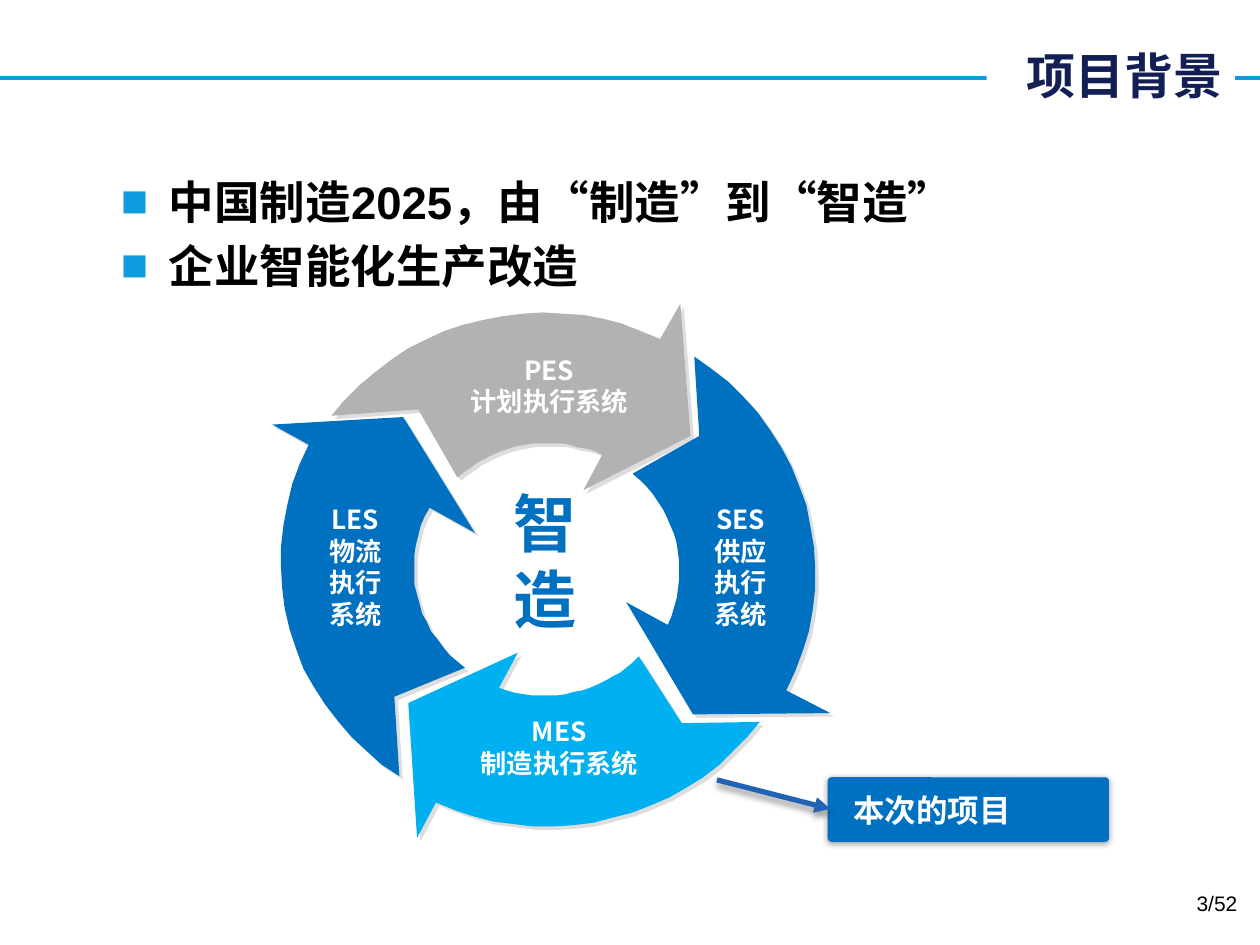
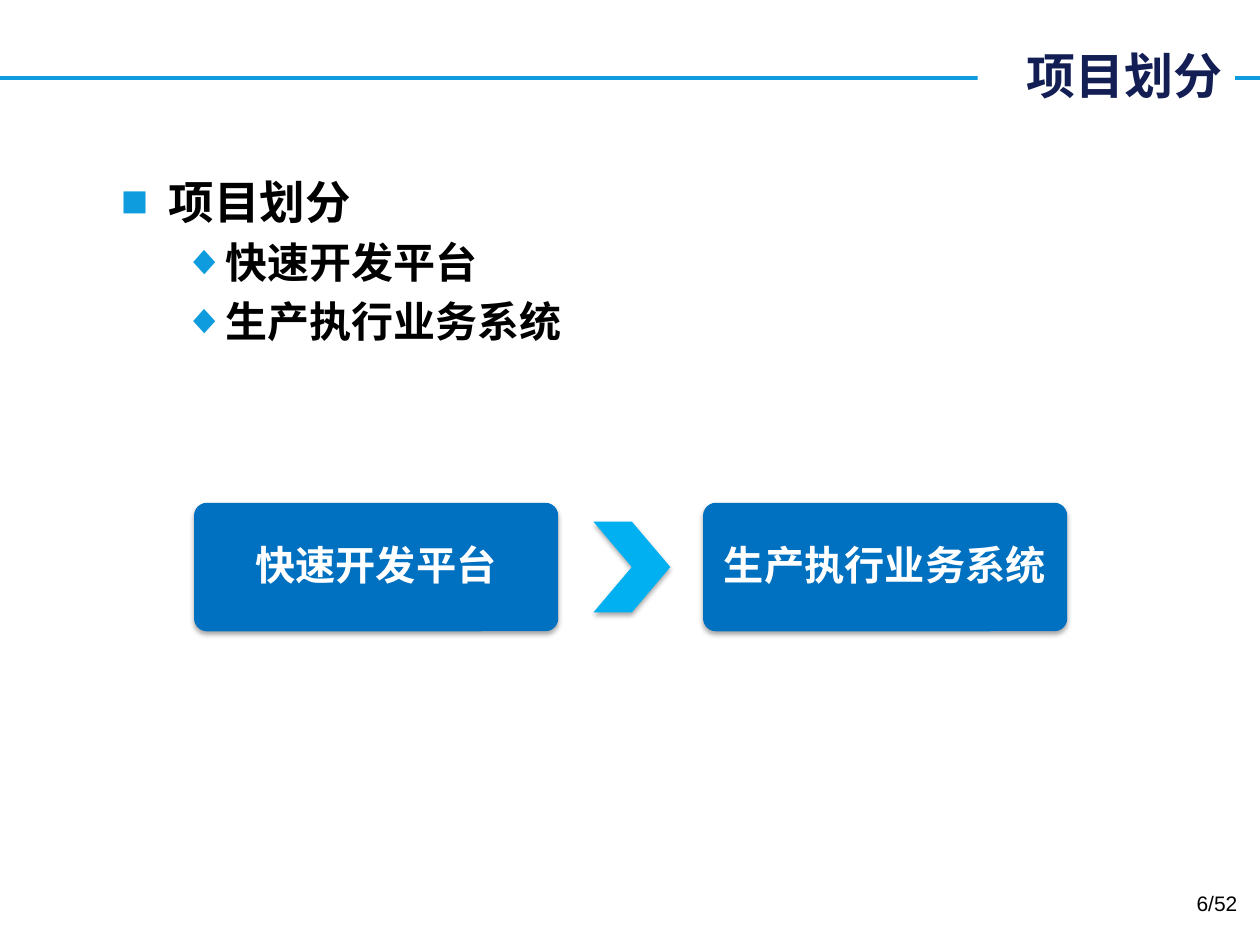
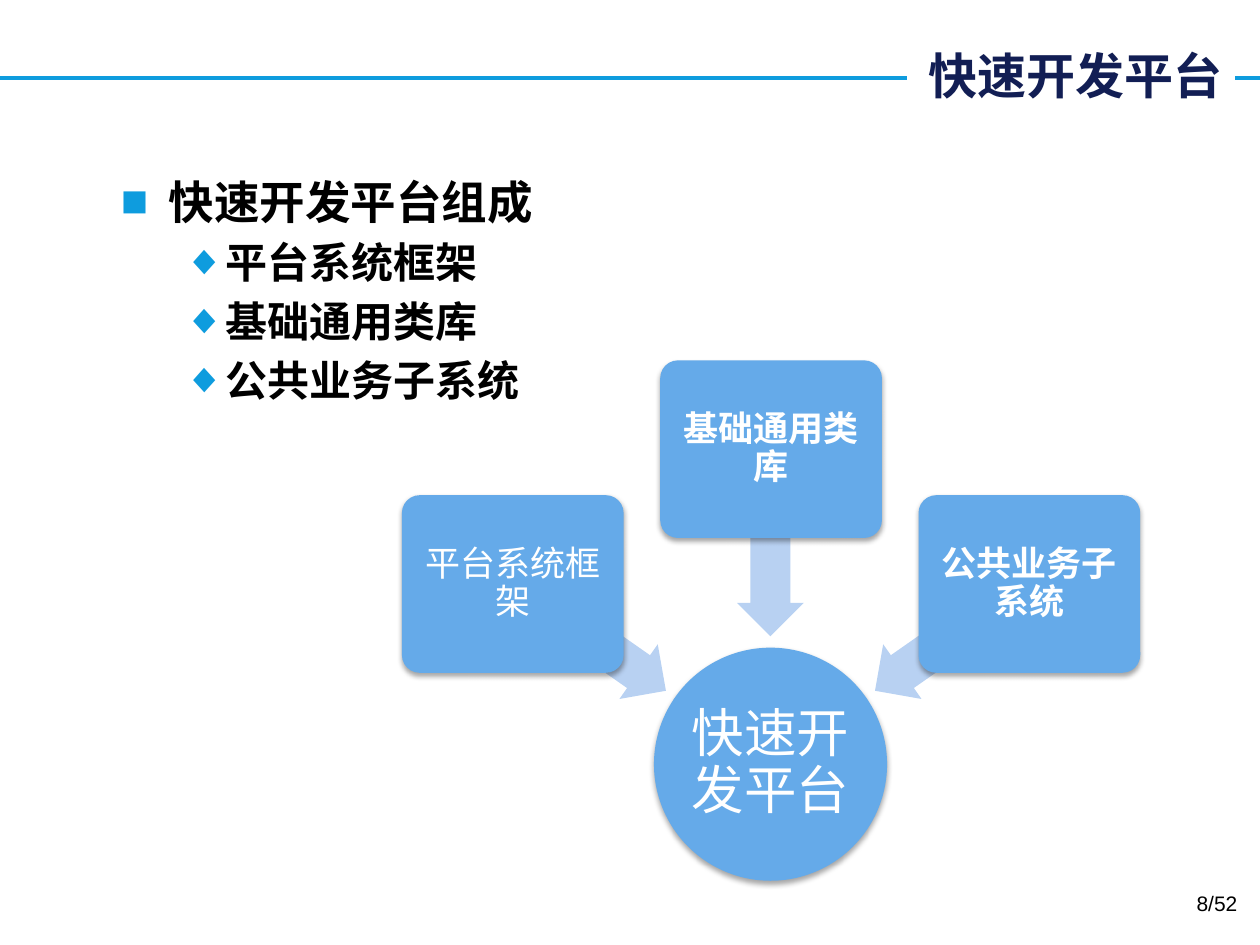
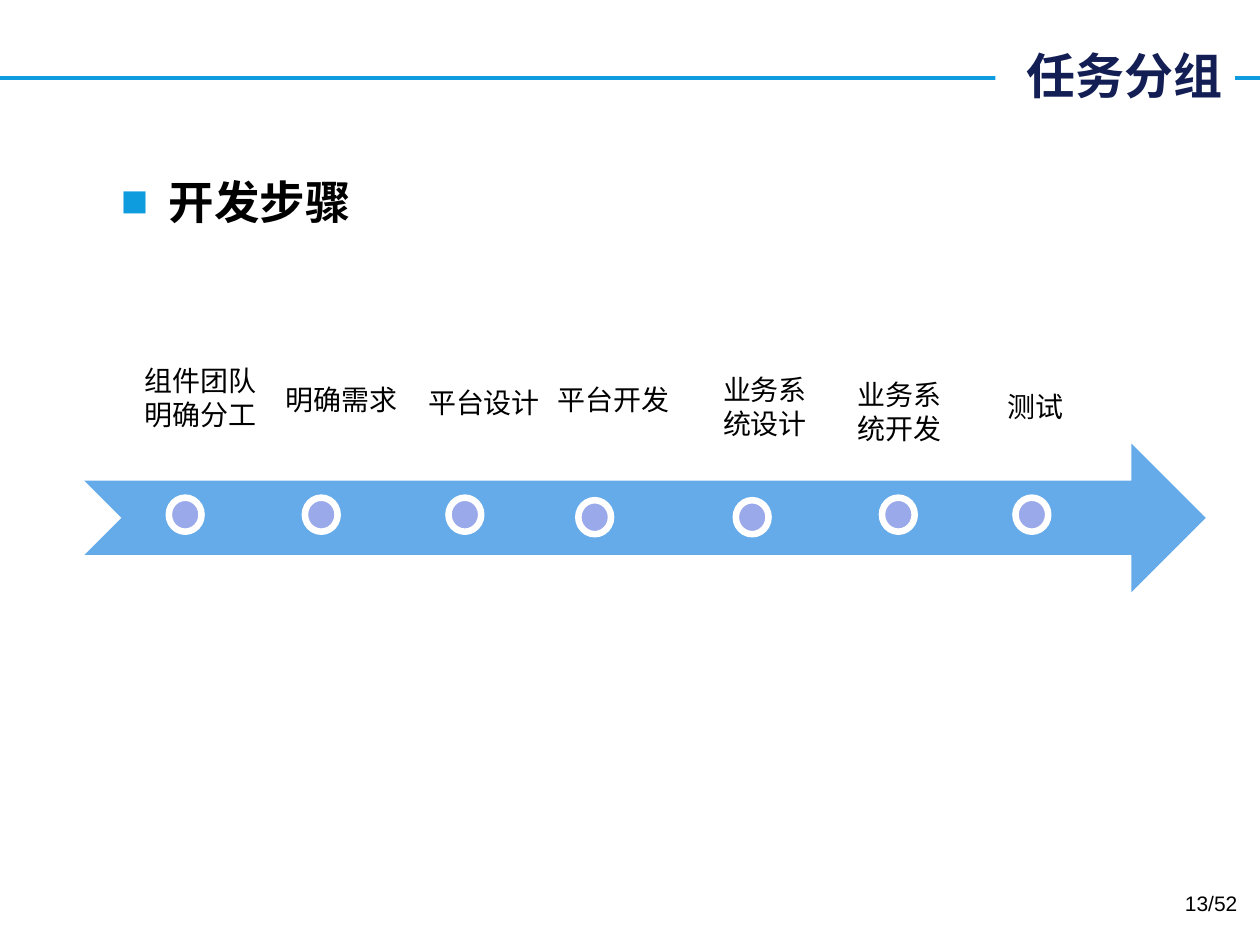
from math import atan2, cos, hypot, pi, sin

from lxml import etree
from pptx import Presentation
from pptx.dml.color import RGBColor
from pptx.enum.shapes import MSO_CONNECTOR, MSO_SHAPE
from pptx.enum.text import MSO_ANCHOR, MSO_AUTO_SIZE, PP_ALIGN
from pptx.oxml.ns import qn
from pptx.util import Pt

PX = 9144
LATIN = "Arial"
CHINESE = "Noto Sans CJK SC"

WHITE = RGBColor(0xFF, 0xFF, 0xFF)
BLACK = RGBColor(0, 0, 0)
NAVY = RGBColor(0x12, 0x1E, 0x54)
RULE_BLUE = RGBColor(0x0E, 0x9C, 0xDE)
BLUE = RGBColor(0x00, 0x70, 0xC0)
CYAN = RGBColor(0x00, 0xB0, 0xF0)
GRAY = RGBColor(0xB2, 0xB2, 0xB2)
SHADOW_GRAY = RGBColor(0xDD, 0xDD, 0xDD)
LINK_BLUE = RGBColor(0x21, 0x63, 0xB4)
SKY = RGBColor(0x65, 0xAA, 0xE9)
PALE_BLUE = RGBColor(0xB8, 0xD1, 0xF2)
LILAC = RGBColor(0x9A, 0xA9, 0xEA)

LEFT, CENTER, RIGHT = PP_ALIGN.LEFT, PP_ALIGN.CENTER, PP_ALIGN.RIGHT
TOP, MIDDLE = MSO_ANCHOR.TOP, MSO_ANCHOR.MIDDLE
RECTANGLE, ROUNDED = MSO_SHAPE.RECTANGLE, MSO_SHAPE.ROUNDED_RECTANGLE
CHEVRON, OVAL = MSO_SHAPE.CHEVRON, MSO_SHAPE.OVAL
LEFT_ARROW, NOTCHED_ARROW = MSO_SHAPE.LEFT_ARROW, MSO_SHAPE.NOTCHED_RIGHT_ARROW
DOT = MSO_SHAPE.FLOWCHART_CONNECTOR
STRAIGHT = MSO_CONNECTOR.STRAIGHT

# shadow: colour, opacity %, blur pt, distance pt, angle
RING_SHADOW = (SHADOW_GRAY, 100, 0, 2.8, 45)
CARD_SHADOW = (BLACK, 35, 3.1, 1.8, 90)
CALLOUT_SHADOW = (BLACK, 40, 4, 1, 90)
LINK_SHADOW = (BLACK, 40, 4, 3, 90)


def style_shape(shape, fill=None, shadow=None):
    if fill is not None:
        shape.fill.solid()
        shape.fill.fore_color.rgb = fill
        shape.line.fill.background()
    effects = etree.SubElement(shape.element.spPr, qn("a:effectLst"))
    if shadow:
        color, opacity, blur, distance, angle = shadow
        outer = etree.SubElement(
            effects, qn("a:outerShdw"), blurRad=str(Pt(blur)), dist=str(Pt(distance)),
            dir=str(angle * 60000), algn="ctr", rotWithShape="0")
        tint = etree.SubElement(outer, qn("a:srgbClr"), val=str(color))
        etree.SubElement(tint, qn("a:alpha"), val=str(opacity * 1000))


def write_text(shape, lines, size, color, font=CHINESE, bold=False,
               align=CENTER, anchor=MIDDLE, margins=(10, 5), spacing=None):
    frame = shape.text_frame
    frame.word_wrap = True
    frame.auto_size = MSO_AUTO_SIZE.NONE
    frame.vertical_anchor = anchor
    frame.margin_left = frame.margin_right = margins[0] * PX
    frame.margin_top = frame.margin_bottom = margins[1] * PX
    for index, line in enumerate(lines):
        paragraph = frame.add_paragraph() if index else frame.paragraphs[0]
        paragraph.alignment = align
        paragraph.line_spacing = spacing
        run = paragraph.add_run()
        run.text = line
        run.font.name = font
        run.font.size = Pt(size)
        run.font.bold = bold
        run.font.color.rgb = color
        etree.SubElement(run.font._element, qn("a:ea"), typeface=CHINESE)


presentation = Presentation()
presentation.slide_width = 1000 * PX
presentation.slide_height = 750 * PX
layout = presentation.slide_layouts[1]

pages = [
    ("项目背景", 783, 836, "3/52",
     [(0, "中国制造2025，由“制造”到“智造”"), (0, "企业智能化生产改造")]),
    ("项目划分", 776, 836, "6/52",
     [(0, "项目划分"), (1, "快速开发平台"), (1, "生产执行业务系统")]),
    ("快速开发平台", 720, 879, "8/52",
     [(0, "快速开发平台组成"), (1, "平台系统框架"), (1, "基础通用类库"), (1, "公共业务子系统")]),
    ("任务分组", 790, 836, "13/52", [(0, "开发步骤")]),
]
# bullet, text size, left indent, hanging indent
list_levels = [("■", 26, 38, 38), ("◆", 24, 81, 31)]

slides = []
for heading, title_left, body_width, page_number, items in pages:
    slide = presentation.slides.add_slide(layout)
    slides.append(slide)
    title, body = slide.placeholders
    title.left, title.top = title_left * PX, 31 * PX
    title.width, title.height = (980 - title_left) * PX, 57 * PX
    title.fill.solid()
    title.fill.fore_color.rgb = WHITE
    write_text(title, [heading], 28, NAVY, bold=True, align=RIGHT)

    body.left, body.top = 86 * PX, 133 * PX
    body.width, body.height = body_width * PX, 562 * PX
    write_text(body, [text for _, text in items], 26, BLACK, LATIN, True, LEFT, TOP)
    for paragraph, (level, _) in zip(body.text_frame.paragraphs, items):
        bullet, size, indent, hanging = list_levels[level]
        paragraph.level = level
        paragraph.runs[0].font.size = Pt(size)
        properties = paragraph._p.get_or_add_pPr()
        properties.set("marL", str(indent * PX))
        properties.set("indent", str(-hanging * PX))
        bullet_color = etree.SubElement(properties, qn("a:buClr"))
        etree.SubElement(bullet_color, qn("a:srgbClr"), val=str(RULE_BLUE))
        etree.SubElement(properties, qn("a:buFont"), typeface=LATIN)
        etree.SubElement(properties, qn("a:buChar"), char=bullet)

    number_box = slide.shapes.add_textbox(759 * PX, 702 * PX, 233 * PX, 40 * PX)
    write_text(number_box, [page_number], 12, BLACK, LATIN, align=RIGHT, anchor=TOP)

background_slide, division_slide, platform_slide, steps_slide = slides

title_rule = background_slide.shapes.add_connector(STRAIGHT, 0, 62 * PX, 1000 * PX, 62 * PX)
title_rule.line.color.rgb = RULE_BLUE
title_rule.line.width = Pt(2.25)
style_shape(title_rule)
layout.shapes.element.append(title_rule.element)

# centre x, centre y, radius x, radius y
inner_ring = (433, 452, 104, 100)
outer_ring = (435, 452, 210, 204)
# inner arc ends, head, outer arc ends, tail notch
ring_arrows = [
    (GRAY, [(363, 379), (478, 361)], [(463, 389), (548, 346), (540, 241)],
     [(524, 269), (263, 330)], (332, 325), (342, 281, 188, 50), ["PES", "计划执行系统"]),
    (BLUE, [(369, 530), (341, 403)], [(377, 423), (320, 331), (216, 337)],
     [(245, 353), (317, 616)], (313, 553), (237, 399, 90, 101), ["LES", "物流", "执行", "系统"]),
    (CYAN, [(507, 521), (396, 546)], [(411, 518), (324, 558), (331, 665)],
     [(346, 637), (603, 573)], (541, 574), (355, 568, 178, 50), ["MES", "制造执行系统"]),
    (BLUE, [(502, 376), (530, 496)], [(497, 478), (550, 567), (659, 566)],
     [(624, 548), (551, 283)], (555, 346), (543, 399, 90, 101), ["SES", "供应", "执行", "系统"]),
]
arc_steps = 18
for fill, inner_ends, head, outer_ends, notch, label_box, lines in ring_arrows:
    arcs = []
    for ring, ends, turn in ((inner_ring, inner_ends, 2 * pi), (outer_ring, outer_ends, -2 * pi)):
        center_x, center_y, radius_x, radius_y = ring
        (x1, y1), (x2, y2) = [((x - center_x) / radius_x, (y - center_y) / radius_y)
                              for x, y in ends]
        start, reach = atan2(y1, x1), hypot(x1, y1)
        sweep = (atan2(y2, x2) - start) % turn
        growth = hypot(x2, y2) - reach
        arc = []
        for step in range(arc_steps + 1):
            share = step / arc_steps
            angle, ratio = start + sweep * share, reach + growth * share
            arc.append((round(center_x + radius_x * ratio * cos(angle)),
                        round(center_y + radius_y * ratio * sin(angle))))
        arcs.append(arc)
    outline = arcs[0] + head + arcs[1] + [notch]
    builder = background_slide.shapes.build_freeform(*outline[0], scale=PX)
    builder.add_line_segments(outline[1:], close=True)
    style_shape(builder.convert_to_shape(), fill, RING_SHADOW)
    label = background_slide.shapes.add_shape(RECTANGLE, *[value * PX for value in label_box])
    style_shape(label, fill)
    write_text(label, lines, 15, WHITE, bold=True, margins=(0, 0))

core = background_slide.shapes.add_textbox(386 * PX, 384 * PX, 93 * PX, 121 * PX)
write_text(core, ["智造"], 36, BLUE, bold=True, margins=(0, 0))

callout = background_slide.shapes.add_shape(ROUNDED, 659 * PX, 619 * PX, 219 * PX, 47 * PX)
callout.adjustments[0] = 0.02
style_shape(callout, BLUE, CALLOUT_SHADOW)
callout.line.color.rgb = BLUE
callout.line.width = Pt(3)
write_text(callout, ["本次的项目"], 18, WHITE, bold=True, align=LEFT, margins=(18, 5))

link = background_slide.shapes.add_connector(STRAIGHT, 569 * PX, 619 * PX, 659 * PX, 642 * PX)
link.line.color.rgb = LINK_BLUE
link.line.width = Pt(3)
etree.SubElement(link.element.spPr.find(qn("a:ln")), qn("a:tailEnd"), type="triangle")
style_shape(link, shadow=LINK_SHADOW)

for left, text in ((154, "快速开发平台"), (558, "生产执行业务系统")):
    card = division_slide.shapes.add_shape(ROUNDED, left * PX, 399 * PX, 289 * PX, 102 * PX)
    card.adjustments[0] = 0.1
    style_shape(card, BLUE, CARD_SHADOW)
    write_text(card, [text], 23, WHITE, LATIN, True, margins=(10, 10), spacing=0.9)
chevron = division_slide.shapes.add_shape(CHEVRON, 471 * PX, 414 * PX, 61 * PX, 72 * PX)
style_shape(chevron, CYAN, CARD_SHADOW)

platform = platform_slide.shapes.add_shape(OVAL, 519 * PX, 514 * PX, 185 * PX, 185 * PX)
style_shape(platform, SKY, CARD_SHADOW)
write_text(platform, ["快速开发平台"], 30, WHITE, LATIN, margins=(2, 2), spacing=0.9)

parts = [
    ("平台系统框架", False, 319, 393, 393, 479, 215),
    ("基础通用类库", True, 524, 286, 537, 404, 270),
    ("公共业务子系统", True, 729, 393, 681, 479, 325),
]
for text, bold, card_left, card_top, arrow_left, arrow_top, rotation in parts:
    arrow = platform_slide.shapes.add_shape(
        LEFT_ARROW, arrow_left * PX, arrow_top * PX, 149 * PX, 53 * PX)
    arrow.adjustments[0] = 0.6
    arrow.adjustments[1] = 0.5
    arrow.rotation = rotation
    style_shape(arrow, PALE_BLUE)
    card = platform_slide.shapes.add_shape(
        ROUNDED, card_left * PX, card_top * PX, 176 * PX, 141 * PX)
    card.adjustments[0] = 0.1
    style_shape(card, SKY, CARD_SHADOW)
    write_text(card, [text], 20, WHITE, LATIN, bold, margins=(4, 4), spacing=0.9)

timeline = steps_slide.shapes.add_shape(NOTCHED_ARROW, 67 * PX, 352 * PX, 890 * PX, 118 * PX)
style_shape(timeline, SKY)
# dot left and top, label box, label lines
steps = [
    (134, 395, (105, 284, 135, 64), ["组件团队", "明确分工"]),
    (242, 395, (217, 299, 113, 37), ["明确需求"]),
    (356, 395, (330, 301, 113, 37), ["平台设计"]),
    (459, 397, (433, 299, 113, 37), ["平台开发"]),
    (584, 397, (564, 291, 97, 64), ["业务系统设计"]),
    (700, 395, (671, 295, 97, 64), ["业务系统开发"]),
    (806, 395, (790, 304, 97, 37), ["测试"]),
]
for dot_left, dot_top, label_box, lines in steps:
    dot = steps_slide.shapes.add_shape(DOT, dot_left * PX, dot_top * PX, 26 * PX, 27 * PX)
    style_shape(dot, LILAC)
    dot.line.color.rgb = WHITE
    dot.line.width = Pt(3.75)
    label = steps_slide.shapes.add_textbox(*[value * PX for value in label_box])
    write_text(label, lines, 16, BLACK, align=LEFT, anchor=TOP)

presentation.save("out.pptx")
